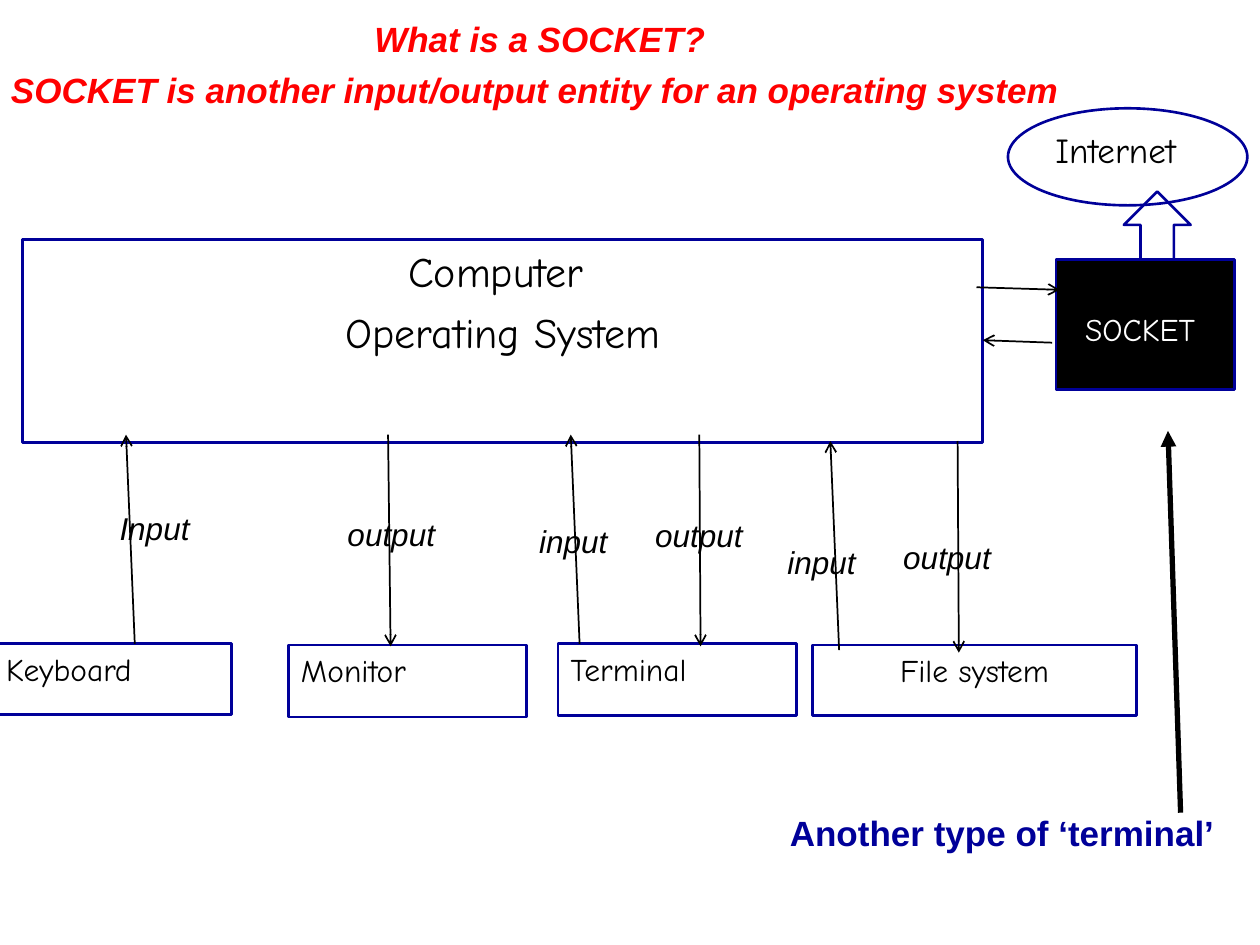
from lxml import etree
from pptx import Presentation
from pptx.dml.color import RGBColor
from pptx.enum import shapes, text
from pptx.oxml import ns
from pptx.util import Inches, Pt

COLORS = {"red": "FF0000", "navy": "000099", "black": "000000", "white": "FFFFFF"}
RECT = shapes.MSO_SHAPE.RECTANGLE
LEFT, CENTER = text.PP_ALIGN.LEFT, text.PP_ALIGN.CENTER

prs = Presentation()
prs.slide_width, prs.slide_height = Inches(10), Inches(7.5)
slide = prs.slides.add_slide(prs.slide_layouts[6])


def add_text(box, lines, size, font, color="black", align=LEFT, bold=False, italic=False):
    frame = box.text_frame
    frame.word_wrap = True
    frame.vertical_anchor = text.MSO_ANCHOR.TOP
    frame.text = "\n".join(lines)
    for line in frame.paragraphs:
        line.alignment = align
        line.space_before = Pt(size / 4)
        line.font.size, line.font.name = Pt(size), font
        line.font.bold, line.font.italic = bold, italic
        line.font.color.rgb = RGBColor.from_string(COLORS[color])


def add_arrow(start, end, width=1, head="arrow"):
    arrow = slide.shapes.add_connector(
        shapes.MSO_CONNECTOR.STRAIGHT, *[Inches(v) for v in (*start, *end)])
    arrow.line.color.rgb = RGBColor.from_string(COLORS["black"])
    arrow.line.width = Pt(width)
    etree.SubElement(arrow.line._get_or_add_ln(), ns.qn("a:tailEnd"), type=head)
    etree.SubElement(arrow._element.spPr, ns.qn("a:effectLst"))


# Outlined shapes: computer, devices, socket and the way to the Internet
nodes = [
    (RECT, (0.18, 1.9, 7.62, 1.61), ["Computer ", "Operating System"], 24, CENTER),
    (RECT, (-0.05, 5.11, 1.89, 0.56), ["Keyboard"], 18, LEFT),
    (RECT, (2.29, 5.12, 1.89, 0.57), ["Monitor"], 18, LEFT),
    (RECT, (4.43, 5.11, 1.89, 0.57), ["Terminal"], 18, LEFT),
    (RECT, (6.45, 5.12, 2.57, 0.56), ["File system"], 18, CENTER),
    (RECT, (8.38, 2.06, 1.42, 1.03), ["SOCKET "], 18, CENTER),
    (shapes.MSO_SHAPE.UP_ARROW, (8.92, 1.52, 0.53, 0.54), [], 18, CENTER),
    (shapes.MSO_SHAPE.OVAL, (8, 0.86, 1.9, 0.77), ["Internet"], 20, LEFT),
]
for kind, place, lines, size, align in nodes:
    node = slide.shapes.add_shape(kind, *[Inches(v) for v in place])
    node.shadow.inherit = False
    node.line.color.rgb = RGBColor.from_string(COLORS["navy"])
    node.line.width = Pt(1.5)
    is_socket = lines == ["SOCKET "]
    if is_socket:
        node.fill.solid()
        node.fill.fore_color.rgb = RGBColor.from_string(COLORS["black"])
        node.text_frame.margin_top = Inches(0.4)
    else:
        node.fill.background()
    if lines:
        add_text(node, lines, size, "Comic Neue", "white" if is_socket else "black", align)

# Arrows between the devices, the computer and the socket
for start, end in [
    ((1.07, 5.11), (1, 3.45)),
    ((3.08, 3.45), (3.1, 5.13)),
    ((4.6, 5.11), (4.53, 3.45)),
    ((5.55, 3.45), (5.56, 5.13)),
    ((6.66, 5.16), (6.59, 3.5)),
    ((7.6, 3.5), (7.61, 5.18)),
    ((7.75, 2.28), (8.41, 2.3)),
    ((8.35, 2.72), (7.8, 2.7)),
]:
    add_arrow(start, end)

# Arrow from the remark to the socket
add_arrow((9.37, 6.45), (9.27, 3.42), width=3, head="triangle")

# Labels on the device arrows
for label, left, top, width in [
    ("Input", 0.85, 3.99, 0.91),
    ("output", 2.66, 4.04, 1.2),
    ("input", 4.18, 4.09, 0.92),
    ("output", 5.1, 4.05, 1.42),
    ("input", 6.15, 4.26, 0.91),
    ("output", 7.07, 4.22, 1.42),
]:
    flow = slide.shapes.add_textbox(Inches(left), Inches(top), Inches(width), Inches(0.4))
    add_text(flow, [label], 18, "Arial", italic=True)

# Title and remark
title = slide.shapes.add_textbox(Inches(-0.07), Inches(0.09), Inches(8.71), Inches(0.84))
add_text(title, ["What is a SOCKET?",
                 "SOCKET is another input/output entity for an operating system "],
         20, "Arial", "red", CENTER, bold=True, italic=True)
remark = slide.shapes.add_textbox(Inches(6.17), Inches(6.39), Inches(4.07), Inches(0.44))
add_text(remark, ["Another type of ‘terminal’"], 20, "Arial", "navy", bold=True)

prs.save("out.pptx")
